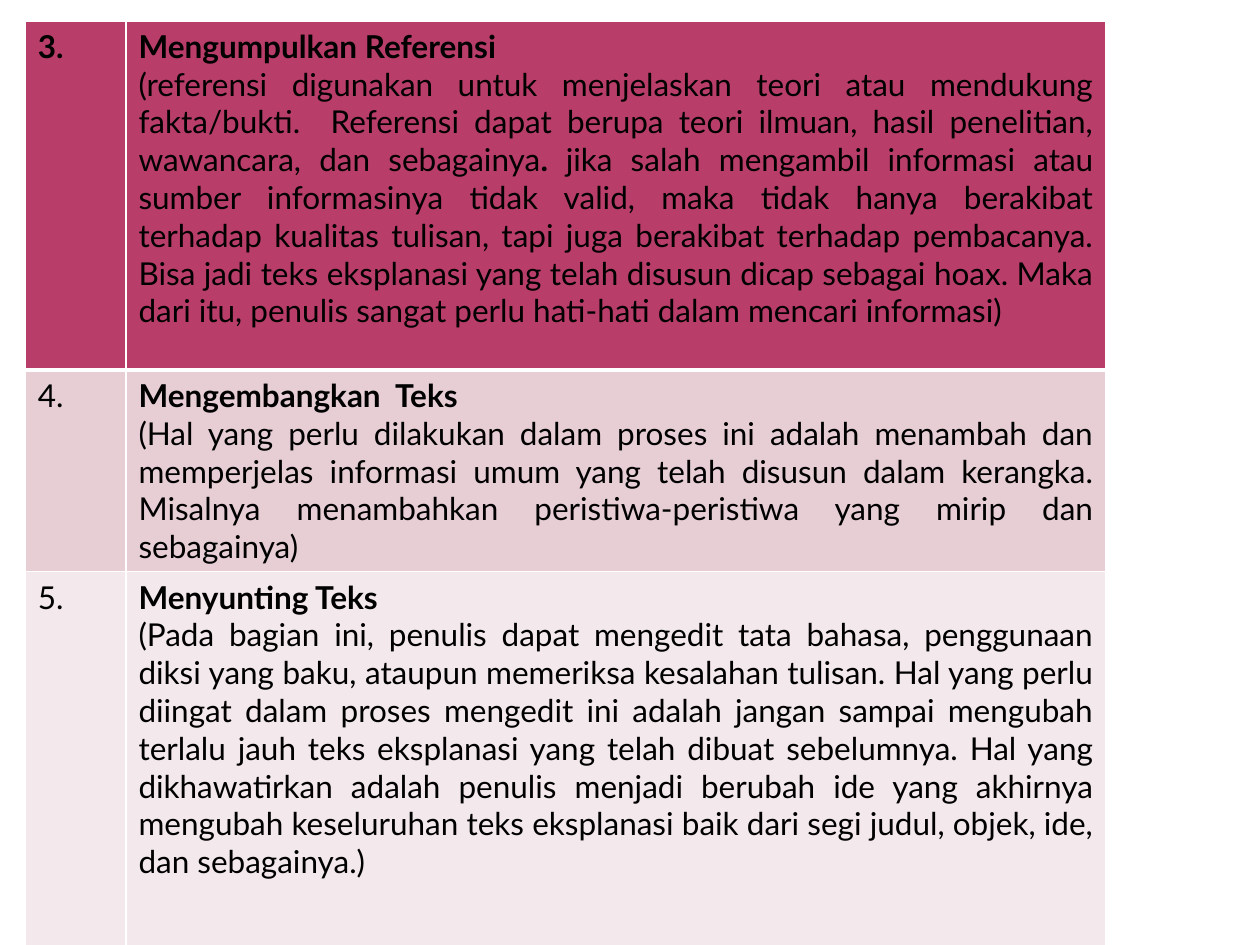
"""Build the slide listing steps 3 to 5 of writing an explanatory text."""
import dataclasses

import pptx
import pptx.dml.color
import pptx.enum.text
import pptx.oxml.ns
import pptx.util
from lxml import etree

Cm = pptx.util.Cm
Pt = pptx.util.Pt


@dataclasses.dataclass(frozen=True)
class Theme:
    """Colours, font and sizes of the slide."""
    font: str = "Lato"
    size: int = 18
    text: str = "000000"
    border: str = "FFFFFF"
    thin: int = 1
    thick: int = 3
    row_fills: tuple = ("B83D68", "E6CED4", "F3E8EB")


THEME = Theme()
COLUMN_WIDTHS = (2.03, 19.76)
ROW_HEIGHTS = (7.04, 4.01, 7.8)

STEPS = (
    ("3.", True, "Mengumpulkan Referensi", (
        ("(referensi digunakan untuk menjelaskan teori atau mendukung "
         "fakta/bukti.  Referensi dapat berupa teori ilmuan, hasil penelitian, "
         "wawancara, dan sebagainya", False),
        (". ", True),
        ("jika salah mengambil informasi atau sumber informasinya tidak valid, "
         "maka tidak hanya berakibat terhadap kualitas tulisan, tapi juga "
         "berakibat terhadap pembacanya. Bisa jadi teks eksplanasi yang telah "
         "disusun dicap sebagai hoax. Maka dari itu, penulis sangat perlu "
         "hati-hati dalam mencari informasi)", False))),
    ("4.", False, "Mengembangkan  Teks", (
        ("(Hal yang perlu dilakukan dalam proses ini adalah menambah dan "
         "memperjelas informasi umum yang telah disusun dalam kerangka. "
         "Misalnya menambahkan peristiwa-peristiwa yang mirip dan "
         "sebagainya)", False),)),
    ("5.", False, "Menyunting Teks", (
        ("(Pada bagian ini, penulis dapat mengedit tata bahasa, penggunaan "
         "diksi yang baku, ataupun memeriksa kesalahan tulisan. Hal yang perlu "
         "diingat dalam proses mengedit ini adalah jangan sampai mengubah "
         "terlalu jauh teks eksplanasi yang telah dibuat sebelumnya. Hal yang "
         "dikhawatirkan adalah penulis menjadi berubah ide yang akhirnya "
         "mengubah keseluruhan teks eksplanasi baik dari segi judul, objek, "
         "ide, dan sebagainya.)", False),)),
)


def rgb(value):
    """Return the colour for a hex value."""
    return pptx.dml.color.RGBColor.from_string(value)


def draw_borders(cell, widths):
    """Draw the cell borders with the given widths in points per side."""
    qn = pptx.oxml.ns.qn
    properties = cell._tc.get_or_add_tcPr()
    for side, width in widths.items():
        line = etree.SubElement(properties, qn(f"a:ln{side}"), w=str(Pt(width)))
        fill = etree.SubElement(line, qn("a:solidFill"))
        etree.SubElement(fill, qn("a:srgbClr"), val=THEME.border)


def write_paragraphs(cell, paragraphs):
    """Write justified paragraphs, each a sequence of (text, bold) runs."""
    frame = cell.text_frame
    for index, runs in enumerate(paragraphs):
        paragraph = frame.add_paragraph() if index else frame.paragraphs[0]
        paragraph.alignment = pptx.enum.text.PP_ALIGN.JUSTIFY
        for text, bold in runs:
            run = paragraph.add_run()
            run.text = text
            style = {"name": THEME.font, "size": Pt(THEME.size), "bold": bold}
            for attribute, value in style.items():
                setattr(run.font, attribute, value)
            run.font.color.rgb = rgb(THEME.text)


def style_cell(cell, row_index):
    """Apply the borders and fill of a row to a cell."""
    top = THEME.thick if row_index == 1 else THEME.thin
    bottom = THEME.thick if row_index == 0 else THEME.thin
    draw_borders(cell, {"L": THEME.thin, "R": THEME.thin, "T": top, "B": bottom})
    cell.fill.solid()
    cell.fill.fore_color.rgb = rgb(THEME.row_fills[row_index])


def add_steps_table(slide):
    """Add the table with one row per writing step."""
    steps_table = slide.shapes.add_table(
        len(STEPS), len(COLUMN_WIDTHS), Cm(0.51), Cm(0.42),
        Cm(sum(COLUMN_WIDTHS)), Cm(sum(ROW_HEIGHTS))).table
    for column, width in zip(steps_table.columns, COLUMN_WIDTHS):
        column.width = Cm(width)
    for row, height in zip(steps_table.rows, ROW_HEIGHTS):
        row.height = Cm(height)
    for row_index, (number, number_bold, heading, body) in enumerate(STEPS):
        contents = ([[(number, number_bold)]], [[(heading, True)], body])
        for column_index, paragraphs in enumerate(contents):
            cell = steps_table.cell(row_index, column_index)
            style_cell(cell, row_index)
            write_paragraphs(cell, paragraphs)


def main():
    """Create and save the presentation."""
    presentation = pptx.Presentation()
    presentation.slide_width = Cm(25.4)
    presentation.slide_height = Cm(19.05)
    slide = presentation.slides.add_slide(presentation.slide_layouts[6])
    add_steps_table(slide)
    presentation.save("out.pptx")


if __name__ == "__main__":
    main()
